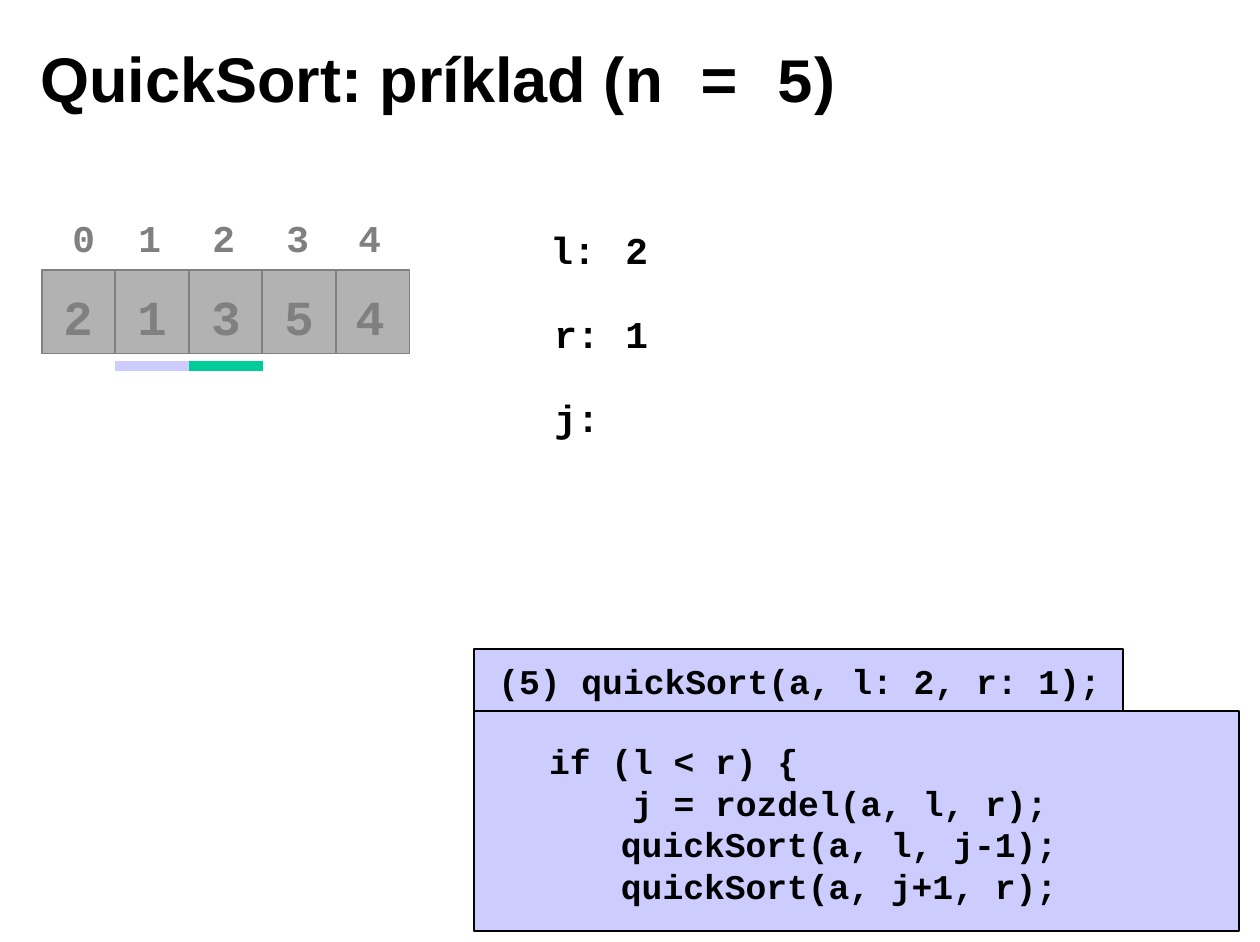
from pptx import Presentation
from pptx.dml.color import RGBColor
from pptx.enum.shapes import MSO_CONNECTOR, MSO_SHAPE
from pptx.enum.text import MSO_ANCHOR, MSO_AUTO_SIZE, PP_ALIGN
from pptx.oxml.ns import qn
from pptx.util import Emu, Inches, Pt
from lxml import etree

BLACK = RGBColor(0x00, 0x00, 0x00)
GRAY = RGBColor(0x80, 0x80, 0x80)
SILVER = RGBColor(0xB2, 0xB2, 0xB2)
LAVENDER = RGBColor(0xCC, 0xCC, 0xFF)
GREEN = RGBColor(0x00, 0xCC, 0x99)

LEFT, CENTER = PP_ALIGN.LEFT, PP_ALIGN.CENTER
TOP, MIDDLE = MSO_ANCHOR.TOP, MSO_ANCHOR.MIDDLE
RECTANGLE, STRAIGHT = MSO_SHAPE.RECTANGLE, MSO_CONNECTOR.STRAIGHT
NO_AUTOFIT = MSO_AUTO_SIZE.NONE

PX = 914400 / 113.5
SANS, MONO = "Arial", "Courier New"


def px(*lengths):
    return [Emu(round(n * PX)) for n in lengths]


class SlideBuilder:
    def __init__(self, prs):
        self.slide = prs.slides.add_slide(prs.slide_layouts[5])
        self.shapes = self.slide.shapes

    def frame(self, sp, anchor, wrap):
        tf = sp.text_frame
        tf.auto_size = NO_AUTOFIT
        tf.word_wrap = wrap
        tf.vertical_anchor = anchor
        tf.margin_left = tf.margin_right = Inches(0.11)
        tf.margin_top = tf.margin_bottom = Inches(0.06)
        return tf

    def title(self, box, parts):
        sp = self.shapes.title
        sp.left, sp.top, sp.width, sp.height = px(*box)
        p = self.frame(sp, MIDDLE, True).paragraphs[0]
        p.alignment = LEFT
        p.font.size, p.font.bold = Pt(40), True
        p.font.color.rgb = BLACK
        for text, font in parts:
            r = p.add_run()
            r.text = text
            r.font.name = font

    def rect(self, box, fill, line):
        sp = self.shapes.add_shape(RECTANGLE, *px(*box))
        sp.shadow.inherit = False
        sp.fill.solid()
        sp.fill.fore_color.rgb = fill
        sp.line.color.rgb = line
        sp.line.width = Pt(0.75)

    def text(self, box, lines, size, color=BLACK, align=LEFT, wrap=False):
        tf = self.frame(self.shapes.add_textbox(*px(*box)), TOP, wrap)
        for i, line in enumerate(lines):
            p = tf.add_paragraph() if i else tf.paragraphs[0]
            p.alignment = align
            if "\t" in line:
                self.tab_stop(p)
            p.add_run().text = line
            p.line_spacing = Pt(size * 1.2)
            p.font.name, p.font.size, p.font.bold = MONO, Pt(size), True
            p.font.color.rgb = color

    def tab_stop(self, p):
        tabs = etree.SubElement(p._p.get_or_add_pPr(), qn("a:tabLst"))
        etree.SubElement(tabs, qn("a:tab"), pos=str(Inches(1)), algn="l")

    def bar(self, x, y, width, color):
        sp = self.shapes.add_connector(STRAIGHT, *px(x, y, x + width, y))
        sp.line.color.rgb = color
        sp.line.width = Pt(6)
        etree.SubElement(sp._element.spPr, qn("a:effectLst"))


def main():
    prs = Presentation()
    prs.slide_width, prs.slide_height = px(1260, 942)
    s = SlideBuilder(prs)
    s.title((28, 19, 1012, 116),
            [("QuickSort: príklad (", SANS), ("n = 5", MONO), (")", SANS)])

    cell_lefts = [42 + 147 * i // 2 for i in range(5)]
    index_lefts = (60, 126, 200, 274, 346)
    value_lefts = (51, 125, 199, 272, 343)
    for i, value in enumerate("21354"):
        s.rect((cell_lefts[i], 270, 74, 84), SILVER, GRAY)
        s.text((value_lefts[i], 280, 54, 72), [value], 31, GRAY, CENTER)
        s.text((index_lefts[i], 208, 48, 58), [str(i)], 24, GRAY)
    s.bar(cell_lefts[2], 366, 74, GREEN)
    s.bar(cell_lefts[1], 366, 74, LAVENDER)

    variables = [(538, "l:", "2"), (542, "r:", "1"), (542, "j:", "")]
    for i, (x, name, value) in enumerate(variables):
        y = 220 + 84 * i
        s.text((x, y, 70, 58), [name], 24, align=CENTER)
        if value:
            s.text((613, y, 48, 58), [value], 24)

    s.rect((474, 711, 765, 220), LAVENDER, BLACK)
    s.text((495, 733, 714, 179),
           ["  if (l < r) {", "      j = rozdel(a, l, r);",
            "\tquickSort(a, l, j-1);", "\tquickSort(a, j+1, r);"], 22, wrap=True)
    s.rect((474, 649, 649, 62), LAVENDER, BLACK)
    s.text((486, 653, 628, 54), ["(5) quickSort(a, l: 2, r: 1);"], 22)
    prs.save("out.pptx")


if __name__ == "__main__":
    main()
